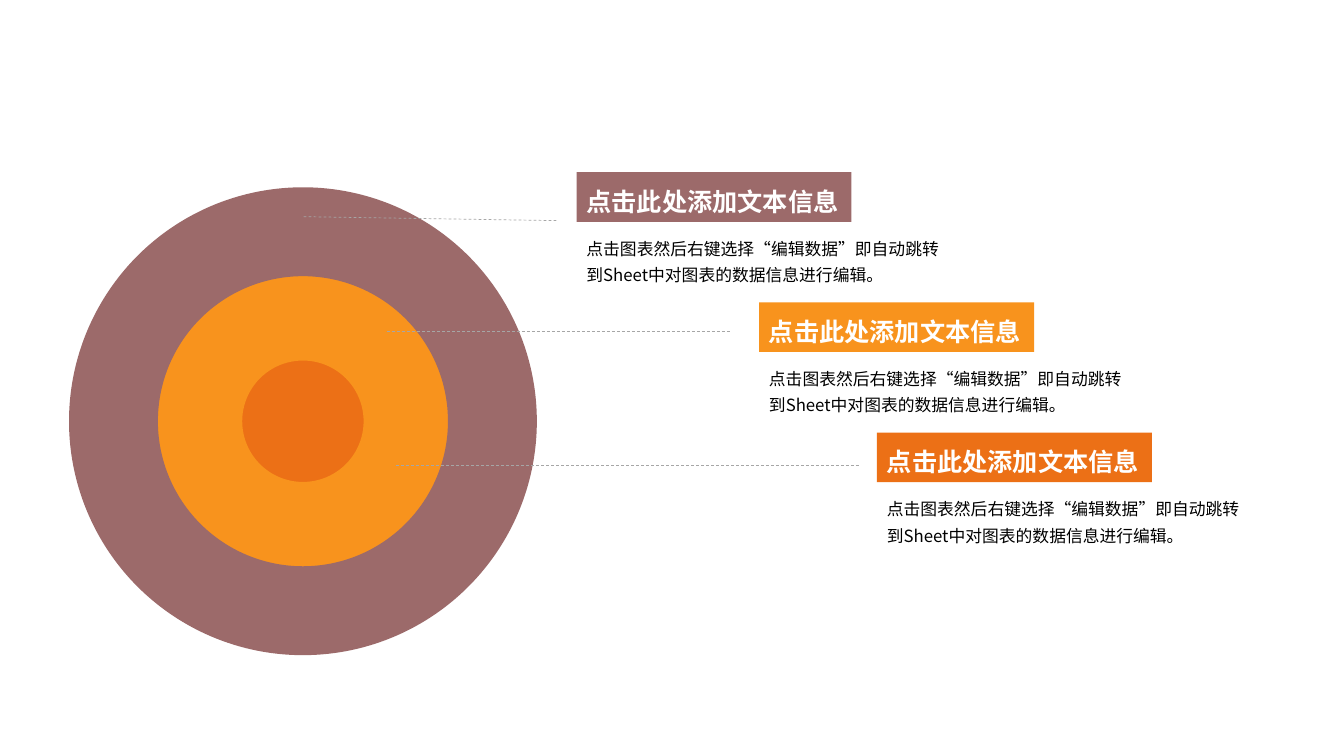
from lxml import etree
from pptx import Presentation
from pptx.dml.color import RGBColor
from pptx.enum.dml import MSO_LINE
from pptx.enum.shapes import MSO_CONNECTOR, MSO_SHAPE
from pptx.enum.text import MSO_ANCHOR, MSO_AUTO_SIZE, PP_ALIGN
from pptx.oxml.ns import qn
from pptx.util import Cm, Pt

DASH = MSO_LINE.DASH
LINE = MSO_CONNECTOR.STRAIGHT
DONUT, OVAL, RECT = MSO_SHAPE.DONUT, MSO_SHAPE.OVAL, MSO_SHAPE.RECTANGLE
TOP = MSO_ANCHOR.TOP
GROW = MSO_AUTO_SIZE.SHAPE_TO_FIT_TEXT
LEFT = PP_ALIGN.LEFT

FONT = "Noto Sans CJK SC"
MAUVE, AMBER, ORANGE = "9C6A6A", "F8931D", "EC7016"
HEAD = "点击此处添加文本信息"
BODY = "点击图表然后右键选择“编辑数据”即自动跳转到Sheet中对图表的数据信息进行编辑。"

RINGS = [
    (OVAL, 3.38, None, ORANGE),
    (DONUT, 8.05, 0.31, AMBER),
    (DONUT, 11.79, 0.19, MAUVE),
]
LEADS = [
    (9.98, 11.73, 21.64, 11.73),
    (9.75, 8.36, 18.42, 8.36),
    (7.65, 5.46, 14.02, 5.56),
]
NOTES = [(14.53, MAUVE), (19.13, AMBER), (22.1, ORANGE)]
NOTE_TOP, NOTE_STEP = 4.34, 3.28


def tint(code):
    return RGBColor.from_string(code)


def write(shape, text, size=12, color="000000", bold=False, wrap=True):
    frame = shape.text_frame
    frame.word_wrap = wrap
    frame.auto_size = GROW
    frame.vertical_anchor = TOP
    para = frame.paragraphs[0]
    para.alignment = LEFT
    para.line_spacing = 1.3
    run = para.add_run()
    run.text = text
    font = run.font
    font.name, font.size, font.bold = FONT, Pt(size), bold
    font.color.rgb = tint(color)
    east = etree.SubElement(run._r.get_or_add_rPr(), qn("a:ea"))
    east.set("typeface", FONT)


def solid(slide, kind, x, y, w, h, color):
    shape = slide.shapes.add_shape(kind, Cm(x), Cm(y), Cm(w), Cm(h))
    shape.shadow.inherit = False
    shape.fill.solid()
    shape.fill.fore_color.rgb = tint(color)
    shape.line.fill.background()
    return shape


def target(slide, x, y, size):
    for kind, width, rim, color in RINGS:
        gap = (size - width) / 2
        ring = solid(slide, kind, x + gap, y + gap, width, width, color)
        if rim:
            ring.adjustments[0] = rim


def lead(slide, x1, y1, x2, y2):
    rule = slide.shapes.add_connector(LINE, Cm(x1), Cm(y1), Cm(x2), Cm(y2))
    rule.line.color.rgb = tint("A6A6A6")
    rule.line.width = Pt(0.5)
    rule.line.dash_style = DASH
    etree.SubElement(rule._element.spPr, qn("a:effectLst"))


def note(slide, x, y, color):
    body = slide.shapes.add_textbox(Cm(x), Cm(y + 1.4), Cm(9.4), Cm(1.52))
    write(body, BODY)
    head = solid(slide, RECT, x, y, 6.93, 1.25, color)
    write(head, HEAD, size=18, color="FFFFFF", bold=True, wrap=False)


def main():
    deck = Presentation()
    deck.slide_width, deck.slide_height = Cm(33.87), Cm(19.05)
    slide = deck.slides.add_slide(deck.slide_layouts[6])
    target(slide, 1.74, 4.72, 11.79)
    for ends in LEADS:
        lead(slide, *ends)
    for row, (x, color) in enumerate(NOTES):
        note(slide, x, NOTE_TOP + row * NOTE_STEP, color)
    deck.save("out.pptx")


if __name__ == "__main__":
    main()
